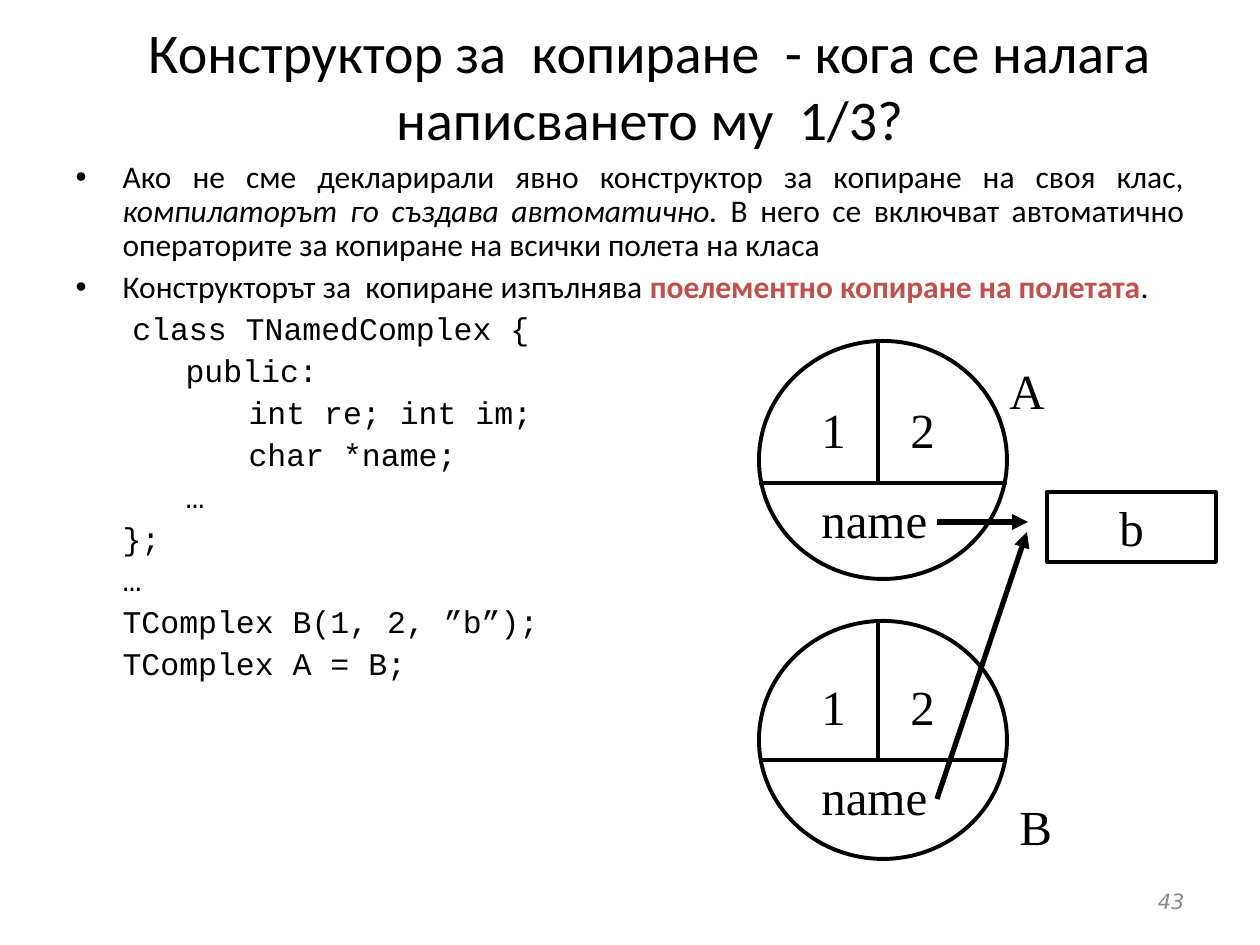
"""Build the slide on when a copy constructor has to be written."""
from lxml.etree import SubElement
from pptx import Presentation
from pptx.dml.color import RGBColor
from pptx.enum.shapes import MSO_CONNECTOR, MSO_SHAPE
from pptx.enum.text import MSO_ANCHOR, MSO_AUTO_SIZE, PP_ALIGN
from pptx.oxml.ns import qn
from pptx.util import Pt

PX = 914400 // 126
COLORS = {"ink": "000000", "accent": "C0504D", "number": "898989"}
TITLE = "Конструктор за  копиране  - кога се налага написването му  1/3?"
BULLETS = [
    [("Ако не сме декларирали явно конструктор за копиране на своя клас, ", ""),
     ("компилаторът го създава автоматично. ", "italic"),
     ("В него се включват автоматично операторите за копиране на всички полета на класа", "")],
    [("Конструкторът за  копиране изпълнява ", ""),
     ("поелементно копиране на полетата", "strong"),
     (".", "")],
]
CODE = [
    "   class TNamedComplex {",
    "\t\tpublic:",
    "\t\t\tint re; int im;",
    "\t\t\tchar *name;",
    "\t\t…",
    "\t};",
    "\t…",
    "\tTComplex B(1, 2, ”b”);",
    "\tTComplex A = B;",
]
OBJECTS = [
    {"circle_top": 341, "chord": 483, "label": ("A", 997, 354), "arrow_end": (1028, 522)},
    {"circle_top": 621, "chord": 760, "label": ("B", 1007, 790), "arrow_end": (1027, 532)},
]
FIELDS = [("1", 809, -90, 66), ("2", 898, -90, 100), ("name", 809, 0, 215)]
CIRCLE_LEFT, CIRCLE_WIDTH, CIRCLE_HEIGHT = 759, 248, 238
DIVIDER, ARROW_START, ARROW_DROP = 878, 937, 39
HANGING = 47


def emu(*lengths):
    return [length * PX for length in lengths]


def place(shape, *box):
    shape.left, shape.top, shape.width, shape.height = emu(*box)


def style(run, font, size, color="ink", bold=False, italic=False):
    run.font.name, run.font.size = font, Pt(size)
    run.font.bold, run.font.italic = bold, italic
    run.font.color.rgb = RGBColor.from_string(COLORS[color])


def add_text(slide, text, box, font="Times New Roman", size=28, color="ink", italic=False):
    frame = slide.shapes.add_textbox(*emu(*box)).text_frame
    frame.word_wrap = True
    frame.text = text
    style(frame.paragraphs[0].runs[0], font, size, color, italic=italic)
    return frame


def outline(shape, width):
    shape.line.color.rgb = RGBColor.from_string(COLORS["ink"])
    shape.line.width = Pt(width)


def add_outlined(slide, kind, box):
    shape = slide.shapes.add_shape(kind, *emu(*box))
    shape.shadow.inherit = False
    shape.fill.background()
    outline(shape, 2.25)
    return shape


def add_line(slide, start, end, width=2.25, arrow=False):
    line = slide.shapes.add_connector(MSO_CONNECTOR.STRAIGHT, *emu(*start, *end))
    outline(line, width)
    if arrow:
        SubElement(line.line._get_or_add_ln(), qn("a:tailEnd"), type="triangle")
    SubElement(line._element.spPr, qn("a:effectLst"))


def format_item(paragraph, bullet, first):
    properties = paragraph._p.get_or_add_pPr()
    properties.set("marL", str(HANGING * PX))
    properties.set("indent", str(-HANGING * PX))
    if bullet:
        SubElement(properties, qn("a:buChar"), char="•")
    else:
        SubElement(properties, qn("a:buNone"))
        tabs = SubElement(properties, qn("a:tabLst"))
        for inch in range(8):
            SubElement(tabs, qn("a:tab"), pos=str(inch * 914400), algn="l")
    paragraph.alignment = PP_ALIGN.JUSTIFY
    paragraph.line_spacing = 0.9
    paragraph.space_before = Pt(0 if first else 4.5)


def fill_body(body):
    place(body, 63, 155, 1134, 714)
    frame = body.text_frame
    frame.auto_size = MSO_AUTO_SIZE.NONE
    items = BULLETS + [[(line, "code")] for line in CODE]
    for index, item in enumerate(items):
        paragraph = frame.add_paragraph() if index else frame.paragraphs[0]
        format_item(paragraph, index < len(BULLETS), index == 0)
        for text, kind in item:
            run = paragraph.add_run()
            run.text = text
            style(run, "Courier New" if kind == "code" else "Calibri", 18,
                  "accent" if kind == "strong" else "ink", kind == "strong", kind == "italic")


def draw_object(slide, circle_top, chord, label, arrow_end):
    add_outlined(slide, MSO_SHAPE.OVAL, (CIRCLE_LEFT, circle_top, CIRCLE_WIDTH, CIRCLE_HEIGHT))
    add_line(slide, (CIRCLE_LEFT, chord), (CIRCLE_LEFT + CIRCLE_WIDTH, chord))
    add_line(slide, (DIVIDER, circle_top), (DIVIDER, chord))
    for text, left, offset, width in FIELDS:
        add_text(slide, text, (left, chord + offset, width, 72))
    add_line(slide, (ARROW_START, chord + ARROW_DROP), arrow_end, 3, True)
    text, left, top = label
    add_text(slide, text, (left, top, 120, 72))


def main():
    presentation = Presentation()
    presentation.slide_width, presentation.slide_height = emu(1260, 945)
    slide = presentation.slides.add_slide(presentation.slide_layouts[1])

    title = slide.shapes.title
    place(title, 74, 0, 1152, 169)
    title.text_frame.text = TITLE
    title.text_frame.auto_size = MSO_AUTO_SIZE.NONE
    title.text_frame.vertical_anchor = MSO_ANCHOR.MIDDLE
    title.text_frame.paragraphs[0].alignment = PP_ALIGN.CENTER
    style(title.text_frame.paragraphs[0].runs[0], "Calibri", 32)
    fill_body(slide.placeholders[1])

    number = add_text(slide, "43", (903, 876, 294, 50), "DejaVu Sans", 12, "number", True)
    number.vertical_anchor = MSO_ANCHOR.MIDDLE
    number.paragraphs[0].alignment = PP_ALIGN.RIGHT

    for item in OBJECTS:
        draw_object(slide, **item)

    value = add_outlined(slide, MSO_SHAPE.RECTANGLE, (1047, 492, 169, 70)).text_frame
    value.word_wrap = False
    value.text = "b"
    value.vertical_anchor = MSO_ANCHOR.MIDDLE
    value.paragraphs[0].alignment = PP_ALIGN.CENTER
    style(value.paragraphs[0].runs[0], "Times New Roman", 28)

    presentation.save("out.pptx")


if __name__ == "__main__":
    main()
